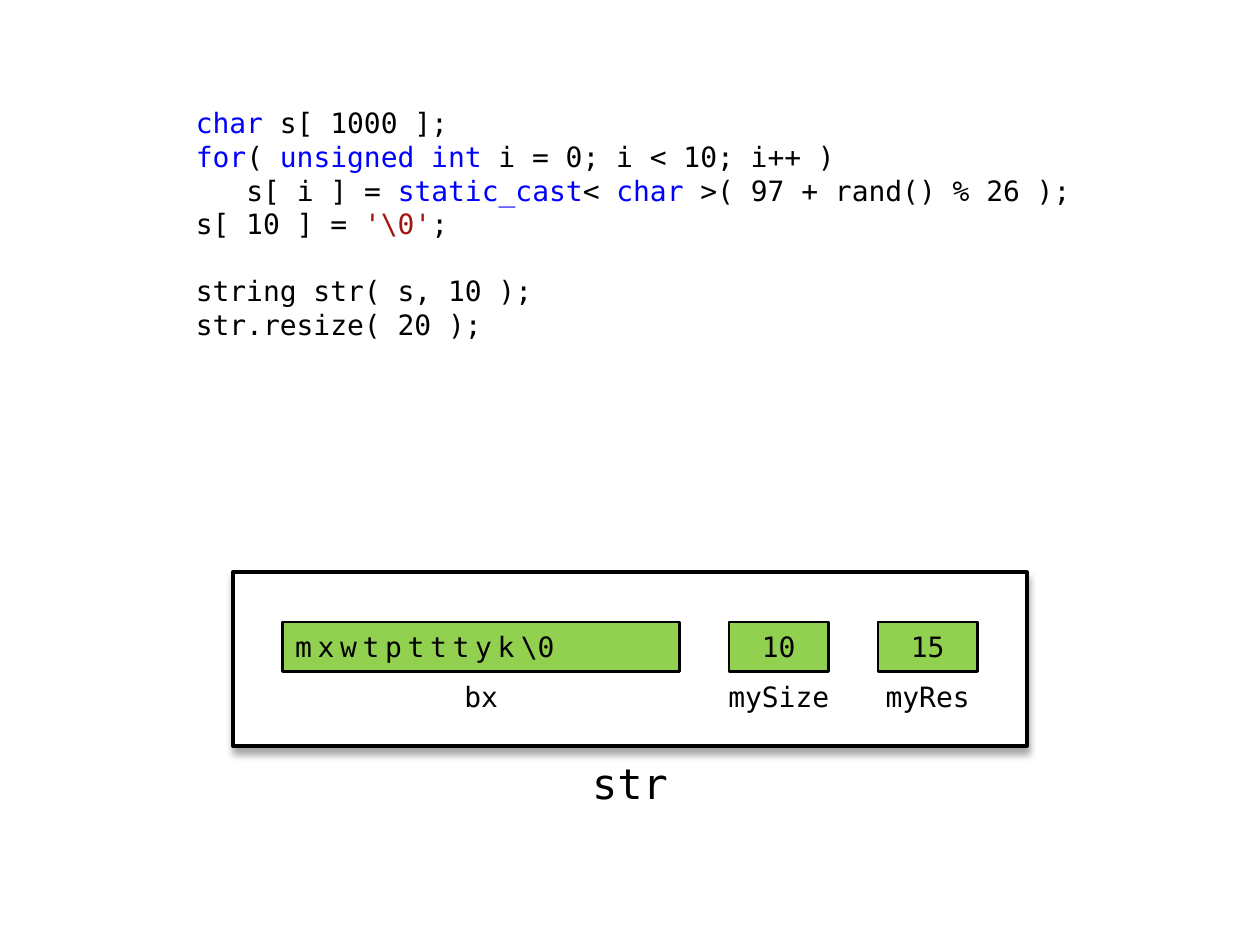
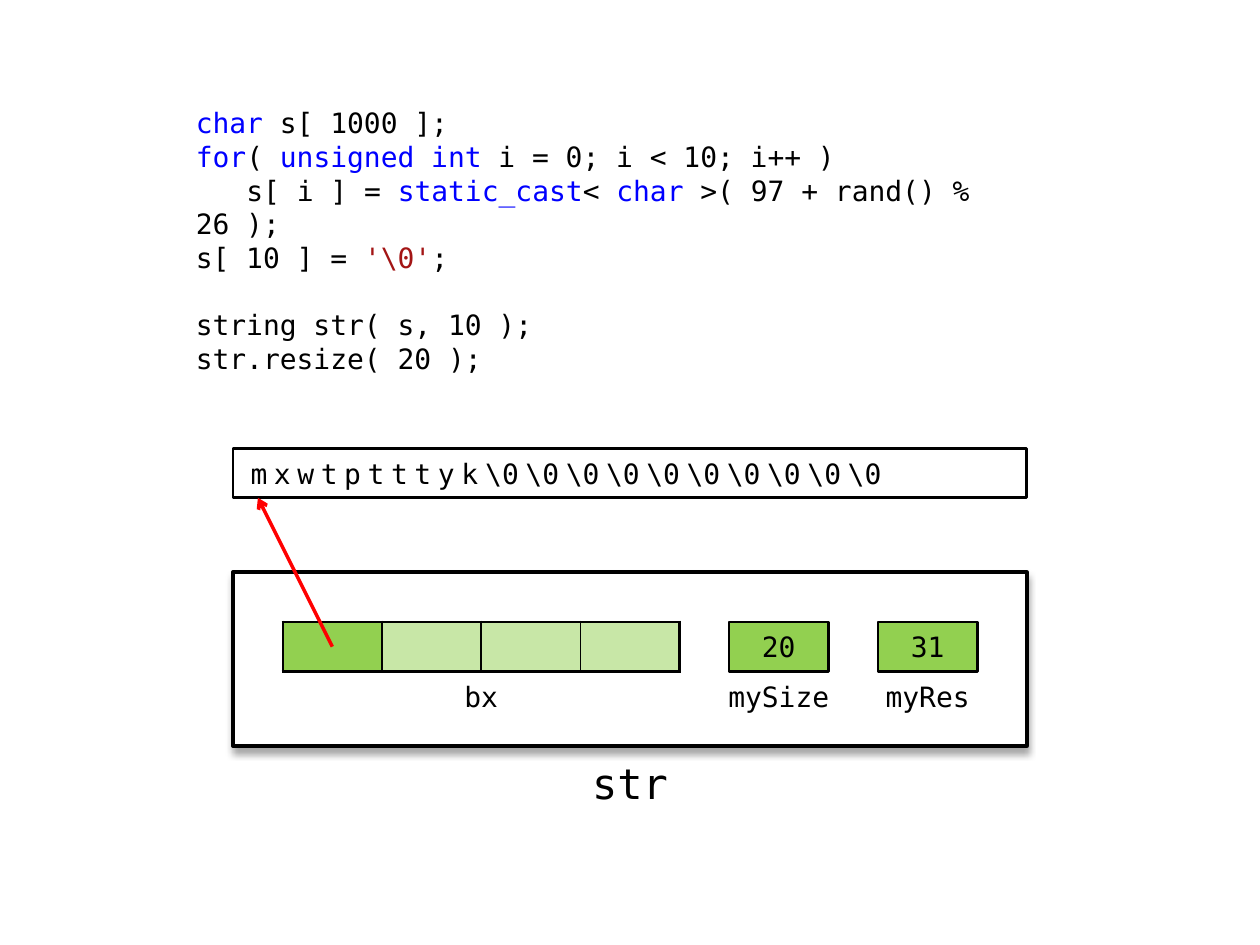
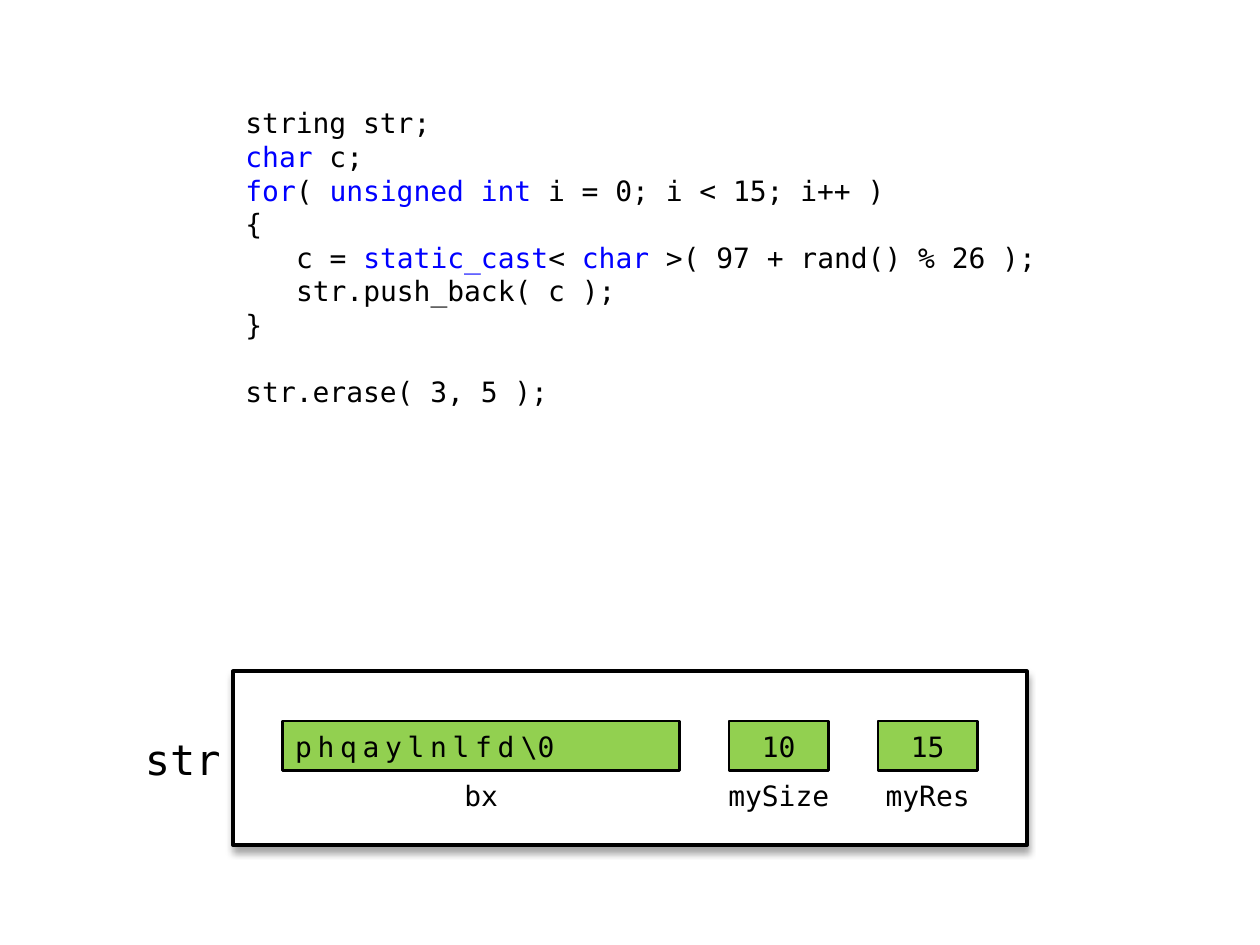
from lxml import etree
from pptx import Presentation
from pptx.dml.color import RGBColor
from pptx.enum.shapes import MSO_CONNECTOR, MSO_SHAPE
from pptx.enum.text import MSO_ANCHOR, PP_ALIGN
from pptx.oxml import parse_xml
from pptx.oxml.ns import nsdecls, qn
from pptx.util import Pt

COLORS = {
    "black": "000000",
    "white": "FFFFFF",
    "keyword": "0000FF",
    "literal": "A31515",
    "member": "92D050",
    "pointer": "FF0000",
}
FONT = "DejaVu Sans Mono"
CODE_SIZE = 16
LINE_HEIGHT = 19.2
CODE_INDENT = 28.9  # three characters
CODE_TOP = 57

# Everything sits on a grid of one centimetre
UNIT = 28.35
FRAME_LEFT = 133.2
FRAME_WIDTH = 16 * UNIT
FRAME_HEIGHT = 3.5 * UNIT

# Backticks enclose coloured tokens, a leading > indents, a leading ~ leaves a gap
RESIZE_CODE = [
    "`char` s[ 1000 ];",
    "`for`( `unsigned int` i = 0; i < 10; i++ )",
    ">s[ i ] = `static_cast`< `char` >( 97 + rand() % 26 );",
    "s[ 10 ] = `'\\0'`;",
    "~string str( s, 10 );",
    "str.resize( 20 );",
]
ERASE_CODE = [
    "string str;",
    "`char` c;",
    "`for`( `unsigned int` i = 0; i < 15; i++ )",
    "{",
    ">c = `static_cast`< `char` >( 97 + rand() % 26 );",
    ">str.push_back( c );",
    "}",
    "~str.erase( 3, 5 );",
]
SLIDES = [
    {"code": RESIZE_CODE, "code_left": FRAME_LEFT - UNIT, "code_width": 524,
     "frame_top": 327, "label_below": True,
     "letters": "mxwtptttyk", "on_heap": False, "size": "10", "reserve": "15"},
    {"code": RESIZE_CODE, "code_left": FRAME_LEFT - UNIT, "code_width": 510,
     "frame_top": 327, "label_below": True,
     "letters": "mxwtptttyk", "on_heap": True, "size": "20", "reserve": "31"},
    {"code": ERASE_CODE, "code_left": FRAME_LEFT, "code_width": 468,
     "frame_top": 383.7, "label_below": False,
     "letters": "phqaylnlfd", "on_heap": False, "size": "10", "reserve": "15"},
]


def style_run(run, size=CODE_SIZE, color="black", spacing=0):
    run.font.name = FONT
    run.font.size = Pt(size)
    run.font.color.rgb = RGBColor.from_string(COLORS[color])
    if spacing:
        run.font._element.set("spc", str(round(spacing * 100)))


def add_box(slide, kind, left, top, width, height, pieces=(), fill=None,
            line_width=1.5, size=CODE_SIZE, align=PP_ALIGN.CENTER):
    """Add a shape whose text is a list of (text, letter spacing) pieces."""
    shape = slide.shapes.add_shape(kind, Pt(left), Pt(top), Pt(width), Pt(height))
    shape.shadow.inherit = False
    if fill:
        shape.fill.solid()
        shape.fill.fore_color.rgb = RGBColor.from_string(COLORS[fill])
        shape.line.color.rgb = RGBColor.from_string(COLORS["black"])
        shape.line.width = Pt(line_width)
    else:
        shape.fill.background()
        shape.line.fill.background()
    shape.text_frame.vertical_anchor = MSO_ANCHOR.MIDDLE
    paragraph = shape.text_frame.paragraphs[0]
    paragraph.alignment = align
    for text, spacing in pieces:
        run = paragraph.add_run()
        run.text = text
        style_run(run, size, spacing=spacing)
    return shape


presentation = Presentation()
presentation.slide_width, presentation.slide_height = Pt(720), Pt(540)
blank_layout = presentation.slide_layouts[6]

for content in SLIDES:
    slide = presentation.slides.add_slide(blank_layout)
    frame_top = content["frame_top"]
    cell_top = frame_top + UNIT

    # Code listing
    code_box = slide.shapes.add_textbox(
        Pt(content["code_left"]), Pt(CODE_TOP), Pt(content["code_width"]),
        Pt((len(content["code"]) + 1) * LINE_HEIGHT + 7.2))
    code_frame = code_box.text_frame
    code_frame.word_wrap = True
    for index, code_line in enumerate(content["code"]):
        paragraph = code_frame.add_paragraph() if index else code_frame.paragraphs[0]
        paragraph.line_spacing = Pt(LINE_HEIGHT)
        if code_line.startswith("~"):
            paragraph.space_before = Pt(LINE_HEIGHT)
        if code_line.startswith(">"):
            paragraph._p.get_or_add_pPr().set("indent", str(Pt(CODE_INDENT)))
        for position, token in enumerate(code_line.lstrip("~>").split("`")):
            if token:
                run = paragraph.add_run()
                run.text = token
                marked = "literal" if token.startswith("'") else "keyword"
                style_run(run, color=marked if position % 2 else "black")

    # Object name, below or left of the frame
    if content["label_below"]:
        name_place = (FRAME_LEFT + 6.5 * UNIT, frame_top + FRAME_HEIGHT, 3 * UNIT)
        name_align = PP_ALIGN.CENTER
    else:
        name_place = (FRAME_LEFT - 2.5 * UNIT, cell_top, 2.5 * UNIT)
        name_align = PP_ALIGN.RIGHT
    add_box(slide, MSO_SHAPE.RECTANGLE, *name_place, 1.5 * UNIT,
            [("str", 0)], size=24, align=name_align)

    # Object frame with its soft shadow
    frame = add_box(slide, MSO_SHAPE.FLOWCHART_PROCESS, FRAME_LEFT, frame_top,
                    FRAME_WIDTH, FRAME_HEIGHT, fill="white", line_width=2.25)
    frame._element.spPr.find(qn("a:effectLst")).append(parse_xml(
        f'<a:outerShdw {nsdecls("a")} blurRad="{Pt(4)}" dist="{Pt(3)}" dir="5400000" '
        f'rotWithShape="0"><a:srgbClr val="{COLORS["black"]}">'
        '<a:alpha val="35000"/></a:srgbClr></a:outerShdw>'))

    # Member names: offset and width in grid units
    for name, offset, width in [("bx", 4, 2), ("mySize", 9.5, 3), ("myRes", 12.5, 3)]:
        add_box(slide, MSO_SHAPE.FLOWCHART_PROCESS, FRAME_LEFT + offset * UNIT,
                cell_top + UNIT, width * UNIT, UNIT, [(name, 0)])

    # Number members
    for value, offset in [(content["size"], 10), (content["reserve"], 13)]:
        add_box(slide, MSO_SHAPE.RECTANGLE, FRAME_LEFT + offset * UNIT, cell_top,
                2 * UNIT, UNIT, [(value, 0)], fill="member")

    # Characters stored inside the object
    bx_left = FRAME_LEFT + UNIT
    if not content["on_heap"]:
        add_box(slide, MSO_SHAPE.RECTANGLE, bx_left, cell_top, 8 * UNIT, UNIT,
                [(content["letters"], 3.3), ("\\", -1.5), ("0", 0)],
                fill="member", align=PP_ALIGN.LEFT)
        continue

    # Pointer cell and unused cells
    table = slide.shapes.add_table(1, 4, Pt(bx_left), Pt(cell_top),
                                   Pt(8 * UNIT), Pt(UNIT)).table
    table.first_row = table.horz_banding = False
    for column in range(4):
        table.columns[column].width = Pt(2 * UNIT)
        cell = table.cell(0, column)
        cell.margin_top = cell.margin_bottom = 0
        cell.fill.solid()
        cell.fill.fore_color.rgb = RGBColor.from_string(COLORS["member"])
        properties = cell._tc.get_or_add_tcPr()
        if column:
            fill_color = properties.find(qn("a:solidFill")).find(qn("a:srgbClr"))
            etree.SubElement(fill_color, qn("a:alpha")).set("val", "50000")
        borders = [("lnL", 1 if column else 1.5), ("lnR", 1 if column < 3 else 1.5),
                   ("lnT", 1.5), ("lnB", 1.5)]
        for position, (side, width) in enumerate(borders):
            properties.insert(position, parse_xml(
                f'<a:{side} {nsdecls("a")} w="{Pt(width)}"><a:solidFill>'
                f'<a:srgbClr val="{COLORS["black"]}"/></a:solidFill></a:{side}>'))

    # Characters stored on the heap
    heap = add_box(slide, MSO_SHAPE.RECTANGLE, FRAME_LEFT, frame_top - 2.5 * UNIT,
                   FRAME_WIDTH, UNIT,
                   [(content["letters"], 3.8)] + [("\\", -1.5), ("0", 3.8)] * 10,
                   fill="white", align=PP_ALIGN.LEFT)
    heap.text_frame.margin_left = Pt(10)

    # Pointer arrow
    pointer = slide.shapes.add_connector(
        MSO_CONNECTOR.STRAIGHT, Pt(bx_left + UNIT), Pt(cell_top + UNIT / 2),
        Pt(FRAME_LEFT + UNIT / 2), Pt(frame_top - 1.5 * UNIT))
    pointer.line.color.rgb = RGBColor.from_string(COLORS["pointer"])
    pointer.line.width = Pt(2)
    etree.SubElement(pointer.line._get_or_add_ln(), qn("a:tailEnd")).set("type", "arrow")
    etree.SubElement(pointer._element.spPr, qn("a:effectLst"))

presentation.save("out.pptx")
